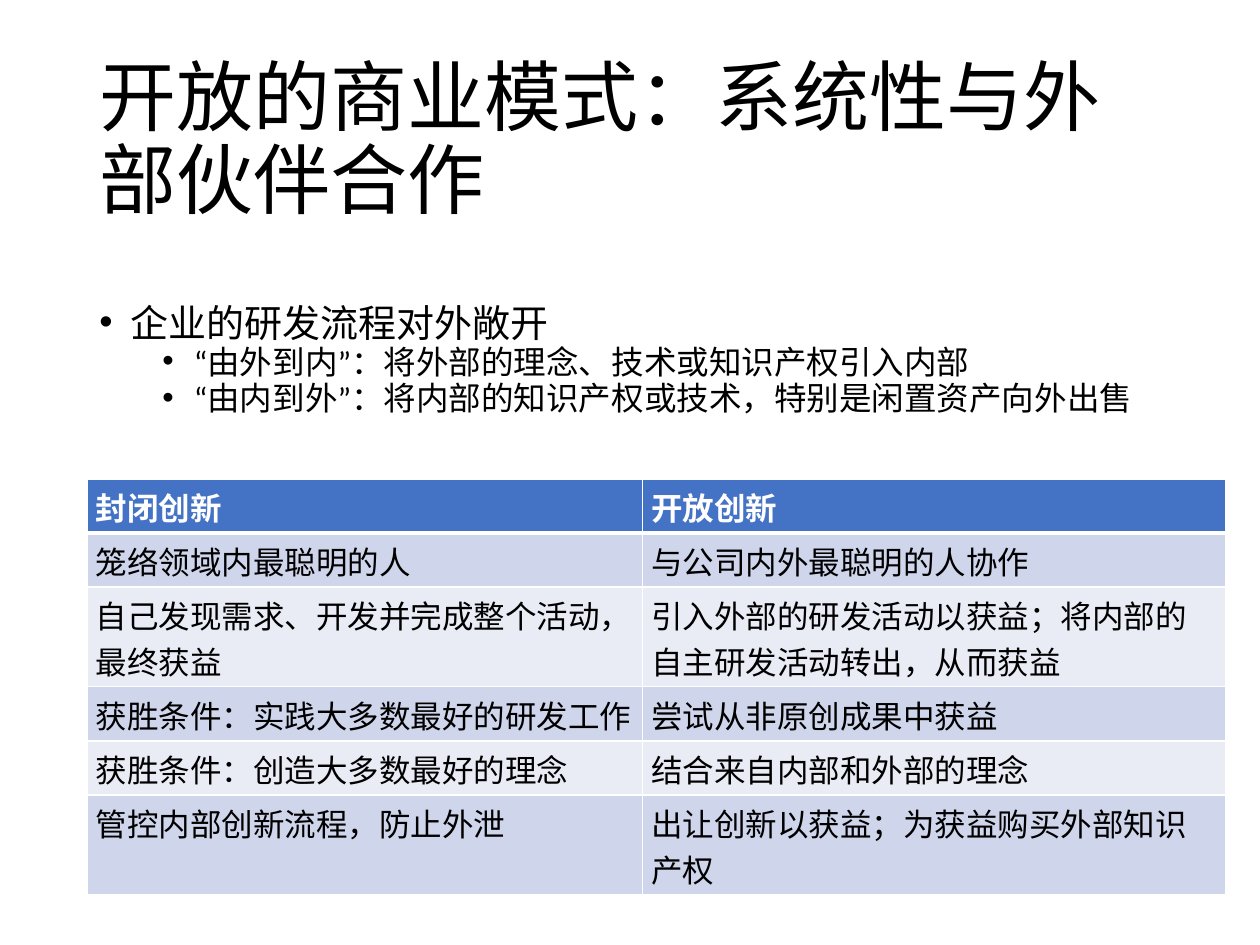
from typing import NamedTuple

import pptx
import pptx.dml.color
import pptx.enum.lang
import pptx.enum.text
import pptx.oxml
import pptx.oxml.ns
import pptx.util
from pptx.util import Inches

FONT = "Calibri"
BLACK, WHITE, HEADER = "000000", "FFFFFF", "4472C4"
BANDS = ("CFD5EA", "E9EBF5")
LEFT = 0.69
ONE_LINE, TWO_LINES = 0.43, 0.79


class Bullet(NamedTuple):
    text: str
    level: int
    size: float
    indent: float
    before: float


class Row(NamedTuple):
    closed: str
    opened: str
    height: float


BULLETS = [
    Bullet("企业的研发流程对外敞开", 0, 21.7, 0.25, 0),
    Bullet("“由外到内”：将外部的理念、技术或知识产权引入内部", 1, 18.6, 0.75, 5),
    Bullet("“由内到外”：将内部的知识产权或技术，特别是闲置资产向外出售", 1, 18.6, 0.75, 5),
]
ROWS = [
    Row("封闭创新", "开放创新", ONE_LINE),
    Row("笼络领域内最聪明的人", "与公司内外最聪明的人协作", ONE_LINE),
    Row("自己发现需求、开发并完成整个活动，最终获益",
        "引入外部的研发活动以获益；将内部的自主研发活动转出，从而获益", TWO_LINES),
    Row("获胜条件：实践大多数最好的研发工作", "尝试从非原创成果中获益", ONE_LINE),
    Row("获胜条件：创造大多数最好的理念", "结合来自内部和外部的理念", ONE_LINE),
    Row("管控内部创新流程，防止外泄", "出让创新以获益；为获益购买外部知识产权", TWO_LINES),
]
COLUMNS = (4.41, 4.63)


def colour(value: str) -> pptx.dml.color.RGBColor:
    return pptx.dml.color.RGBColor.from_string(value)


def element(xml: str):
    """Parse one drawing element, given without its namespace declaration."""
    tag, rest = xml[:xml.index(" ")], xml[xml.index(" "):]
    return pptx.oxml.parse_xml(f"{tag} {pptx.oxml.ns.nsdecls('a')}{rest}")


def write(para, text: str, *, size: float, color: str = BLACK, bold: bool = False,
          spacing: float = 1.0, before: float = 0, east_asian: str = "") -> None:
    para.line_spacing = spacing
    para.space_before = pptx.util.Pt(before)
    span = para.add_run()
    span.text = text
    font = span.font
    font.name, font.size, font.bold = FONT, pptx.util.Pt(size), bold
    font.color.rgb = colour(color)
    font.language_id = pptx.enum.lang.MSO_LANGUAGE_ID.SIMPLIFIED_CHINESE
    if east_asian:
        latin = font._element.find(pptx.oxml.ns.qn("a:latin"))
        latin.addnext(element(f'<a:ea typeface="{east_asian}"/>'))


def add_text_frame(page, top: float, height: float, anchor):
    box = page.shapes.add_textbox(Inches(LEFT), Inches(top), Inches(8.62), Inches(height))
    frame = box.text_frame
    frame.word_wrap = True
    frame.vertical_anchor = anchor
    return frame


def add_bullets(frame, bullets: list[Bullet]) -> None:
    for index, bullet in enumerate(bullets):
        para = frame.add_paragraph() if index else frame.paragraphs[0]
        para.level = bullet.level
        properties = para._p.get_or_add_pPr()
        properties.set("marL", str(Inches(bullet.indent)))
        properties.set("indent", str(Inches(-0.25)))
        properties.append(element('<a:buFont typeface="Arial"/>'))
        properties.append(element('<a:buChar char="•"/>'))
        write(para, bullet.text, size=bullet.size, spacing=0.7,
              before=bullet.before, east_asian=FONT)


def set_borders(cell, bottom: float) -> None:
    properties = cell._tc.get_or_add_tcPr()
    widths = {"lnL": 1, "lnR": 1, "lnT": 1, "lnB": bottom}
    for index, (side, width) in enumerate(widths.items()):
        properties.insert(index, element(
            f'<a:{side} w="{pptx.util.Pt(width)}"><a:solidFill>'
            f'<a:srgbClr val="{WHITE}"/></a:solidFill></a:{side}>'))


def add_comparison(page, rows: list[Row]) -> None:
    height = sum(row.height for row in rows)
    table = page.shapes.add_table(len(rows), len(COLUMNS), Inches(LEFT), Inches(3.8),
                                  Inches(sum(COLUMNS)), Inches(height)).table
    for column, width in zip(table.columns, COLUMNS):
        column.width = Inches(width)
    for index, row in enumerate(rows):
        table.rows[index].height = Inches(row.height)
        is_header = index == 0
        fill = HEADER if is_header else BANDS[(index - 1) % 2]
        for position, text in enumerate((row.closed, row.opened)):
            cell = table.cell(index, position)
            cell.margin_left = cell.margin_right = Inches(0.07)
            cell.margin_top = cell.margin_bottom = Inches(0.04)
            cell.fill.solid()
            cell.fill.fore_color.rgb = colour(fill)
            set_borders(cell, bottom=3 if is_header else 1)
            write(cell.text_frame.paragraphs[0], text, size=18, bold=is_header,
                  color=WHITE if is_header else BLACK)


def main() -> None:
    deck = pptx.Presentation()
    deck.slide_width, deck.slide_height = Inches(10), Inches(7.5)
    page = deck.slides.add_slide(deck.slide_layouts[6])

    # Title
    title = add_text_frame(page, 0.4, 1.45, pptx.enum.text.MSO_ANCHOR.MIDDLE)
    write(title.paragraphs[0], "开放的商业模式：系统性与外部伙伴合作",
          size=44, spacing=0.9, east_asian=FONT)

    # Two directions of open innovation
    add_bullets(add_text_frame(page, 2.43, 1.09, pptx.enum.text.MSO_ANCHOR.TOP), BULLETS)

    # Closed and open innovation compared
    add_comparison(page, ROWS)

    deck.save("out.pptx")


if __name__ == "__main__":
    main()
